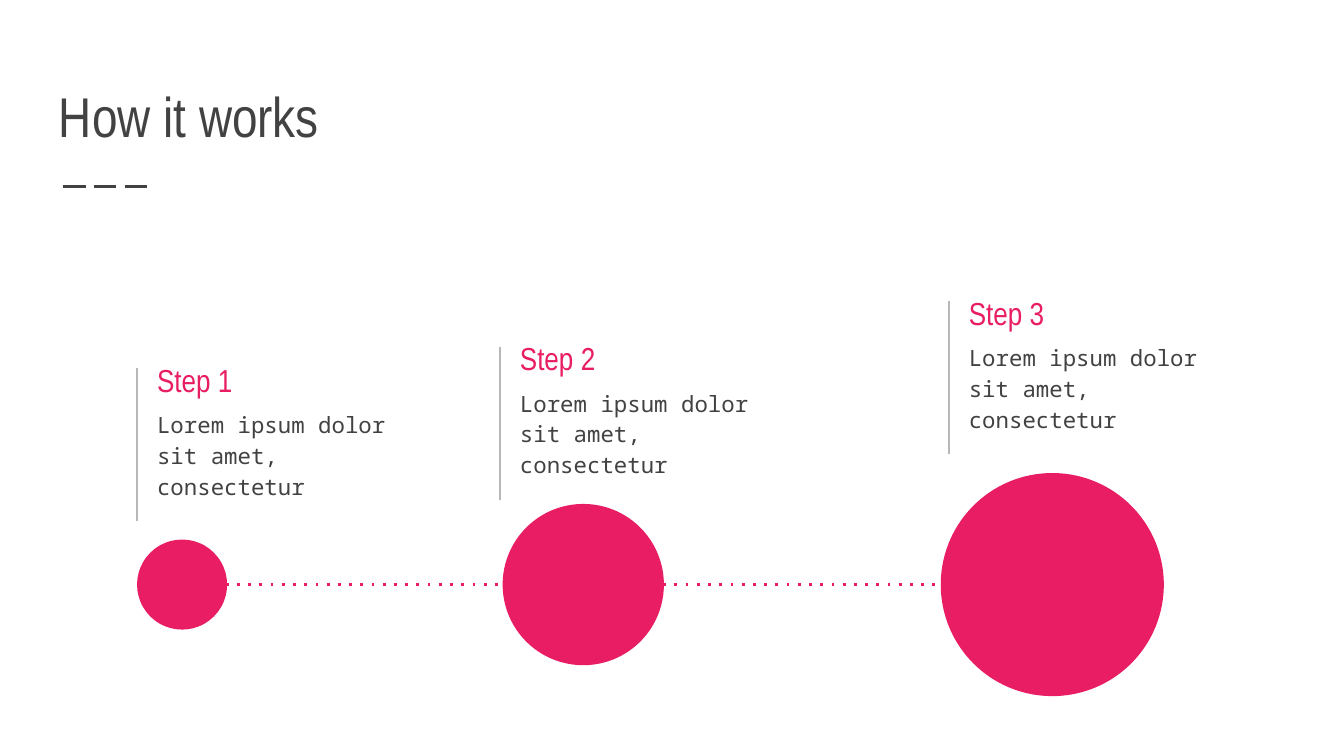
"""Build the How it works slide: three growing steps on a dotted line."""
from lxml.etree import SubElement
from pptx import Presentation
from pptx.dml.color import RGBColor
from pptx.enum.shapes import MSO_CONNECTOR, MSO_SHAPE
from pptx.enum.text import MSO_ANCHOR
from pptx.oxml.ns import qn
from pptx.util import Inches, Pt

PINK = RGBColor(0xE9, 0x1D, 0x63)
DARK = RGBColor(0x42, 0x42, 0x42)
GREY = RGBColor(0xB7, 0xB7, 0xB7)
HEAD = "Arial Narrow"
BODY = "Noto Sans Mono"
MID = 4.35

deck = Presentation()
deck.slide_width = Inches(10)
deck.slide_height = Inches(10) * 9 // 16
slide = deck.slides.add_slide(deck.slide_layouts[6])


def add_line(left, top, right, low, color, width, dash="solid"):
    line = slide.shapes.add_connector(
        MSO_CONNECTOR.STRAIGHT, Inches(left), Inches(top), Inches(right), Inches(low))
    line.line.color.rgb = color
    line.line.width = Pt(width)
    props = line._element.spPr
    SubElement(props.find(qn("a:ln")), qn("a:prstDash")).set("val", dash)
    SubElement(props, qn("a:effectLst"))


def add_text(text, left, top, width, height, font, size, color, anchor):
    box = slide.shapes.add_textbox(Inches(left), Inches(top), Inches(width), Inches(height))
    frame = box.text_frame
    frame.word_wrap = True
    frame.vertical_anchor = anchor
    frame.margin_left = frame.margin_right = Inches(0.1)
    frame.margin_top = frame.margin_bottom = Inches(0.1)
    frame.text = text
    para = frame.paragraphs[0]
    run = para.runs[0]
    run.font.name = font
    run.font.size = Pt(size)
    run.font.color.rgb = color
    return para


add_line(0.47, 1.39, 1.14, 1.39, DARK, 1.5, "lgDash")
add_text("How it works", 0.34, 0.41, 9.32, 0.8, HEAD, 30, DARK, MSO_ANCHOR.BOTTOM)
add_line(1.68, MID, 7, MID, PINK, 1.5, "dot")

steps = [
    (1.07, 2.61, 1.02, 0.67),
    (3.77, 2.45, 3.74, 1.2),
    (7.11, 2.11, 7, 1.66),
]
for num, (left, top, edge, size) in enumerate(steps, 1):
    add_line(left - 0.05, top + 0.13, left - 0.05, top + 1.27, GREY, 0.75)
    add_text(f"Step {num}", left, top, 1.98, 0.43, HEAD, 17, PINK, MSO_ANCHOR.MIDDLE)
    para = add_text("Lorem ipsum dolor sit amet, consectetur", left, top + 0.32,
                    1.98, 0.63, BODY, 12, DARK, MSO_ANCHOR.TOP)
    para.line_spacing = 1.15
    para.space_after = Pt(16)
    dot = slide.shapes.add_shape(
        MSO_SHAPE.OVAL, Inches(edge), Inches(MID - size / 2), Inches(size), Inches(size))
    dot.shadow.inherit = False
    dot.fill.solid()
    dot.fill.fore_color.rgb = PINK
    dot.line.fill.background()

deck.save("out.pptx")
